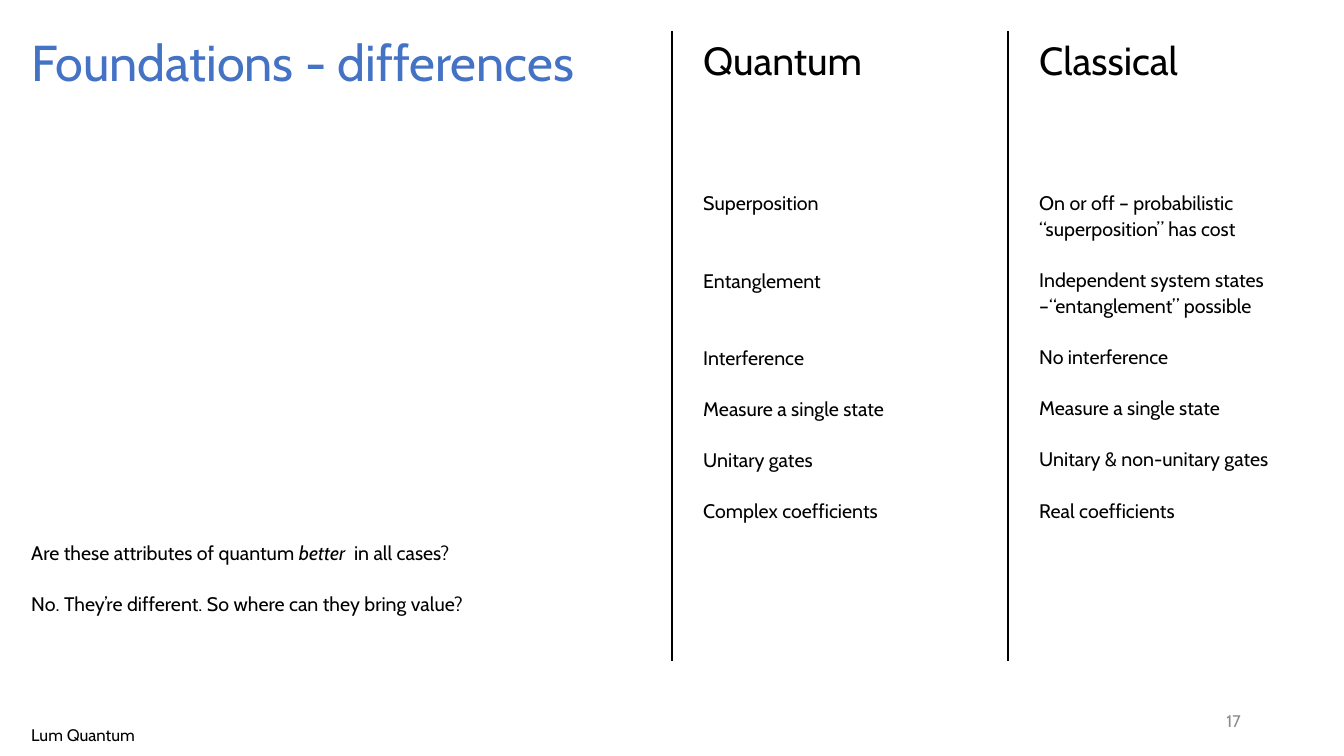
"""Build a slide comparing quantum and classical computing."""
from lxml import etree
from pptx import Presentation
from pptx.dml.color import RGBColor
from pptx.enum.shapes import MSO_CONNECTOR
from pptx.enum.text import MSO_ANCHOR, PP_ALIGN
from pptx.oxml.ns import qn
from pptx.util import Inches, Pt

BLACK = RGBColor(0x00, 0x00, 0x00)
BLUE = RGBColor(0x44, 0x72, 0xC4)
GREY = RGBColor(0x8C, 0x8C, 0x8C)
LINE = MSO_CONNECTOR.STRAIGHT
MIDDLE = MSO_ANCHOR.MIDDLE
TOP = MSO_ANCHOR.TOP
LEFT = PP_ALIGN.LEFT
RIGHT = PP_ALIGN.RIGHT

WIDTH, HEIGHT = Inches(13.33), Inches(7.5)
COL, ROW = WIDTH / 4, HEIGHT / 24
PAD = Inches(0.31)
GAP = 18
SKIP = 36.6


class Page:
    font = "Cabin"

    def __init__(self, slide):
        self.slide = slide

    def text(self, col, row, wide, high, lines, size, color=BLACK,
             space=1.0, gaps=(), align=LEFT, anchor=TOP):
        box = self.slide.shapes.add_textbox(
            int(col * COL + PAD), int(row * ROW),
            int(wide * COL), int(high * ROW))
        frame = box.text_frame
        frame.word_wrap = True
        frame.vertical_anchor = anchor
        frame.margin_left = frame.margin_right = 0
        frame.margin_top = frame.margin_bottom = 0
        frame.text = "\n".join(lines)
        for para in frame.paragraphs:
            para.alignment = align
            para.line_spacing = space
            for run in para.runs:
                run.font.name = self.font
                run.font.size = Pt(size)
                run.font.color.rgb = color
        for para, gap in zip(frame.paragraphs, gaps):
            para.space_after = Pt(gap)
        return frame

    def head(self, col, title):
        self.text(col, 1, 0.81, 2.6, [title], 28, space=1.1)

    def body(self, col, row, wide, high, lines, gaps):
        return self.text(col, row, wide, high, lines, 14,
                         space=1.1, gaps=gaps)

    def slant(self, para, word):
        first = para.runs[0]
        before, after = first.text.split(word)
        first.text = before
        for part in (word, after):
            run = para.add_run()
            run.text = part
            run.font.name = self.font
            run.font.size = first.font.size
            run.font.color.rgb = BLACK
            run.font.italic = part == word

    def rule(self, col):
        x = int(col * COL)
        line = self.slide.shapes.add_connector(
            LINE, x, int(ROW), x, int(21 * ROW))
        line.line.color.rgb = BLACK
        line.line.width = Pt(1)
        etree.SubElement(line._element.spPr, qn("a:effectLst"))


def main():
    deck = Presentation()
    deck.slide_width, deck.slide_height = WIDTH, HEIGHT
    page = Page(deck.slides.add_slide(deck.slide_layouts[6]))

    page.text(0, 1, 1.81, 4.2, ["Foundations - differences"], 36, BLUE)
    sides = [
        (2, "Quantum",
         ["Superposition", "Entanglement", "Interference",
          "Measure a single state", "Unitary gates",
          "Complex coefficients"],
         [SKIP] * 2 + [GAP] * 4),
        (3, "Classical",
         ["On or off – probabilistic “superposition” has cost",
          "Independent system states –“entanglement” possible",
          "No interference", "Measure a single state",
          "Unitary & non-unitary gates", "Real coefficients"],
         [GAP] * 6),
    ]
    for col, title, lines, gaps in sides:
        page.rule(col)
        page.head(col, title)
        page.body(col, 6, 0.81, 15, lines, gaps)

    ask = page.body(
        0, 17.1, 1.62, 1.7,
        ["Are these attributes of quantum better  in all cases?",
         "No. They’re different. So where can they bring value?"],
        [GAP] * 2)
    page.slant(ask.paragraphs[0], "better ")

    page.text(0, 23, 1.3, 0.5, ["Lum Quantum"], 12)
    page.text(2.8, 22.24, 0.8, 1.28, ["17"], 12, GREY,
              align=RIGHT, anchor=MIDDLE)
    deck.save("out.pptx")


if __name__ == "__main__":
    main()
